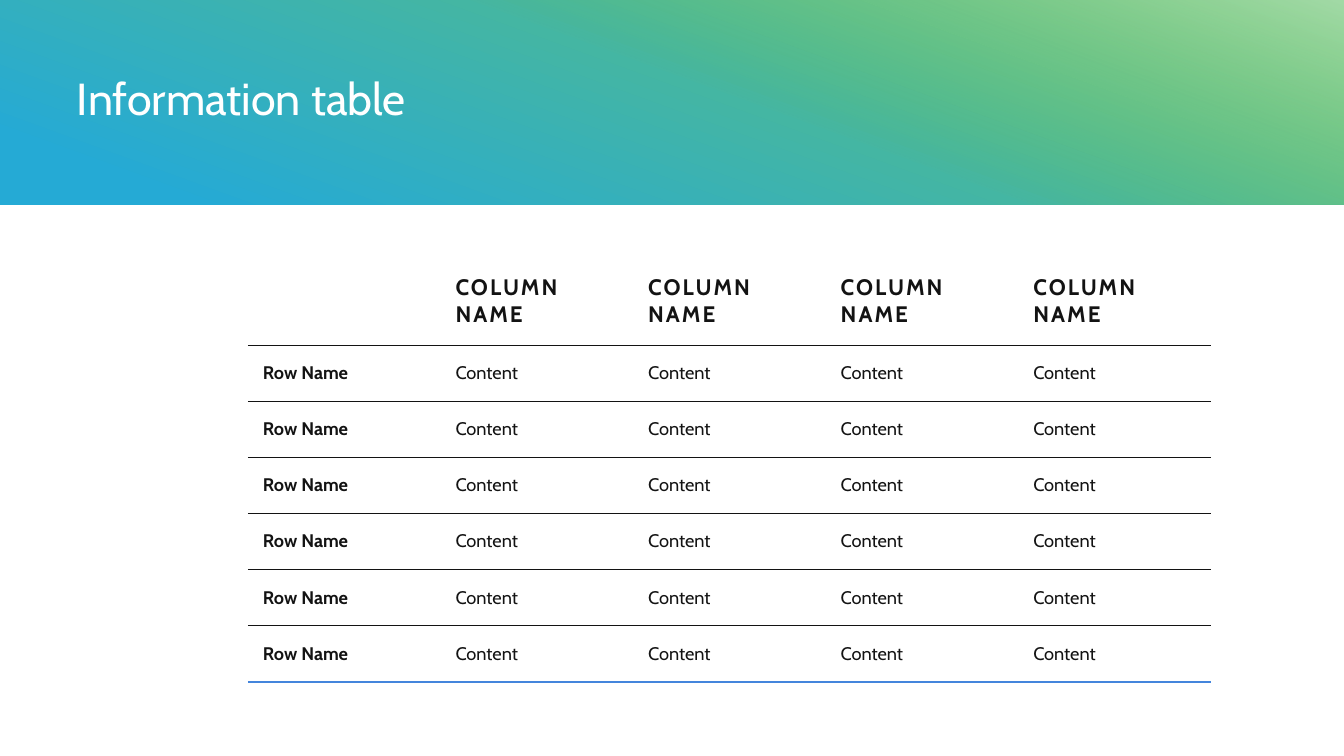
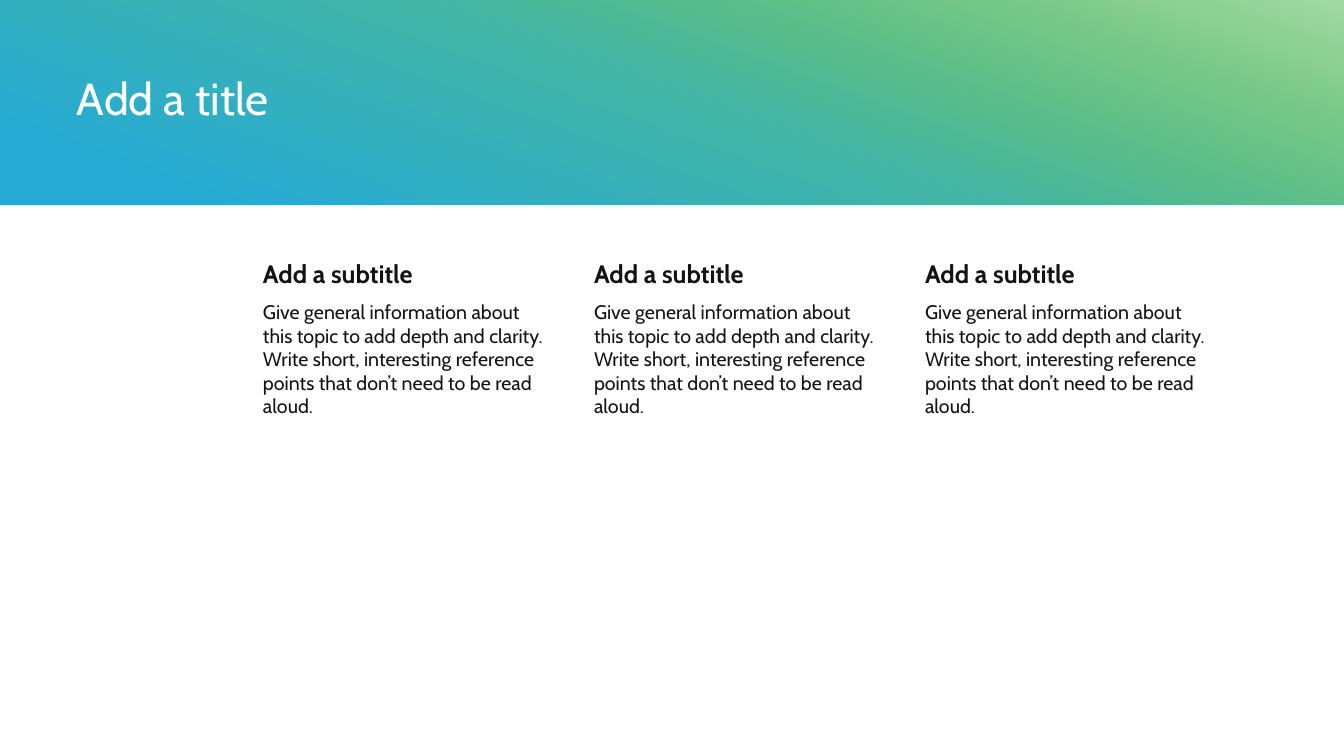
"""Build an information table slide and a three-column text slide."""
from lxml import etree
from pptx import Presentation
from pptx.dml.color import RGBColor
from pptx.enum.shapes import MSO_SHAPE
from pptx.enum.text import MSO_ANCHOR
from pptx.oxml.ns import qn
from pptx.util import Emu, Pt

RECT = MSO_SHAPE.RECTANGLE
TOP, MIDDLE = MSO_ANCHOR.TOP, MSO_ANCHOR.MIDDLE
WHITE = RGBColor(0xFF, 0xFF, 0xFF)
INK = RGBColor(0x13, 0x13, 0x13)
BLUE = RGBColor(0x25, 0xAA, 0xD5)
RULE_BLUE = RGBColor(0x44, 0x85, 0xDC)
GREEN = RGBColor(0x66, 0xC2, 0x6C)
PALE_GREEN = RGBColor(0xA3, 0xDA, 0xA7)
FONT = "Cabin"
EMU_PER_PX = 914400 / 100.8
WIDTH, HEIGHT, BAND = 1344, 756, 205
LEFT, CONTENT_WIDTH = 248, 963
PLAIN_TABLE = "{2D5ABB26-0587-4C30-8999-92F81FD0307C}"
TITLE = {"size": Pt(32), "bold": False, "color": WHITE}
HEADER = {"size": Pt(16), "bold": True, "color": INK}
ROW_NAME = {"size": Pt(13), "bold": True, "color": INK}
CONTENT = {"size": Pt(13), "bold": False, "color": INK}
SUBTITLE = {"size": Pt(18), "bold": True, "color": INK}
BODY = {"size": Pt(14), "bold": False, "color": INK}
BODY_TEXT = ("Give general information about this topic to add depth and clarity. "
             "Write short, interesting reference points that don’t need to be read aloud.")


def px(n):
    return Emu(round(n * EMU_PER_PX))


class Deck:
    def __init__(self):
        self.prs = Presentation()
        self.prs.slide_width, self.prs.slide_height = px(WIDTH), px(HEIGHT)
        self.s = None

    def slide(self, title):
        self.s = self.prs.slides.add_slide(self.prs.slide_layouts[6])
        self.gradient(0, WIDTH, 250, [(0, GREEN, None), (0.9, BLUE, None)])
        self.gradient(322, WIDTH - 322, 70, [(0.45, GREEN, 0), (1, PALE_GREEN, None)])
        self.text(67, 34, 1199, 135, title, TITLE, (10, 5, 10, 5), MIDDLE, 0.9)

    def gradient(self, x, w, angle, stops):
        sp = self.s.shapes.add_shape(RECT, px(x), 0, px(w), px(BAND))
        sp.shadow.inherit = False
        sp.line.fill.background()
        sp.fill.gradient()
        sp.fill.gradient_angle = angle
        for stop, (position, color, alpha) in zip(sp.fill.gradient_stops, stops):
            stop.position, stop.color.rgb = position, color
        for gs, (_, _, alpha) in zip(sp.element.iter(qn("a:gs")), stops):
            if alpha is not None:
                etree.SubElement(gs[0], qn("a:alpha")).set("val", str(alpha))

    def run(self, p, text, fmt, spacing=0):
        r = p.add_run()
        r.text = text
        r.font.name = FONT
        for name, value in fmt.items():
            if name == "color":
                r.font.color.rgb = value
            else:
                setattr(r.font, name, value)
        if spacing:
            r.font._element.set("spc", str(spacing))

    def margins(self, target, insets):
        for side, inset in zip(("left", "top", "right", "bottom"), insets):
            setattr(target, f"margin_{side}", px(inset))

    def text(self, x, y, w, h, text, fmt, insets, anchor=TOP, line_spacing=1.0):
        tf = self.s.shapes.add_textbox(px(x), px(y), px(w), px(h)).text_frame
        tf.word_wrap, tf.vertical_anchor = True, anchor
        self.margins(tf, insets)
        p = tf.paragraphs[0]
        p.line_spacing = line_spacing
        self.run(p, text, fmt)

    def border(self, cell, side, color, width):
        ln = etree.Element(qn(f"a:{side}"), w=str(Pt(width)))
        fill = etree.SubElement(ln, qn("a:solidFill"))
        etree.SubElement(fill, qn("a:srgbClr")).set("val", str(color))
        cell._tc.get_or_add_tcPr().insert(0, ln)

    def table(self, x, y, w, header_h, body_h, rows):
        n_rows, n_cols = len(rows), len(rows[0])
        frame = self.s.shapes.add_table(n_rows, n_cols, px(x), px(y), px(w),
                                        px(header_h + body_h))
        table = frame.table
        table.first_row = table.horz_banding = False
        next(frame._element.iter(qn("a:tableStyleId"))).text = PLAIN_TABLE
        for col in table.columns:
            col.width = px(w / n_cols)
        for i, values in enumerate(rows):
            table.rows[i].height = px(body_h / (n_rows - 1) if i else header_h)
            for j, value in enumerate(values):
                cell = table.cell(i, j)
                cell.fill.background()
                cell.vertical_anchor = MIDDLE
                self.margins(cell, (15, 15, 15, 15))
                fmt = HEADER if i == 0 else CONTENT if j else ROW_NAME
                if value:
                    self.run(cell.text_frame.paragraphs[0], value, fmt, 0 if i else 150)
                last = i == n_rows - 1
                self.border(cell, "lnB", RULE_BLUE if last else INK, 1.5 if last else 0.5)
                if i:
                    self.border(cell, "lnT", INK, 0.5)

    def column(self, x, w, subtitle, body):
        self.text(x, 255, w, 43, subtitle, SUBTITLE, (15, 3, 3, 3))
        self.text(x, 298, w, 386, body, BODY, (15, 2, 2, 2))


def main():
    deck = Deck()
    deck.slide("Information table")
    rows = [[""] + ["COLUMN NAME"] * 4] + [["Row Name"] + ["Content"] * 4] * 6
    deck.table(LEFT, 257, CONTENT_WIDTH, 88, 337, rows)

    deck.slide("Add a title")
    count, width = 3, 301
    pitch = (CONTENT_WIDTH - width) // (count - 1)
    for i in range(count):
        deck.column(LEFT + i * pitch, width, "Add a subtitle", BODY_TEXT)
    deck.prs.save("out.pptx")


if __name__ == "__main__":
    main()
